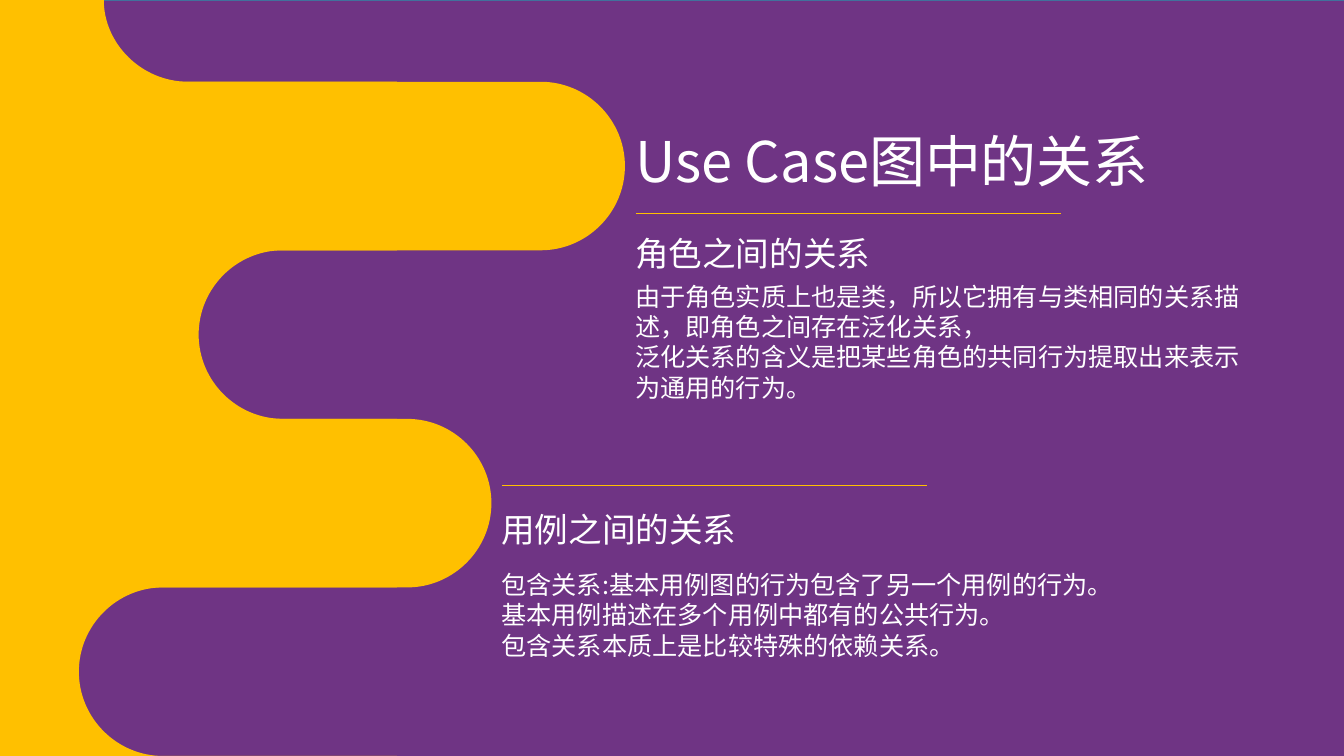
"""Build a slide on the relationships in use case diagrams."""
from dataclasses import dataclass

from lxml.etree import SubElement
from pptx import Presentation
from pptx.dml.color import RGBColor
from pptx.enum.shapes import MSO_CONNECTOR, MSO_SHAPE
from pptx.enum.text import MSO_AUTO_SIZE
from pptx.oxml.ns import qn
from pptx.shapes.shapetree import SlideShapes
from pptx.util import Pt

PURPLE = RGBColor(0x6F, 0x34, 0x84)
YELLOW = RGBColor(0xFF, 0xC0, 0x00)
BLUE = RGBColor(0x41, 0x71, 0x9C)
WHITE = RGBColor(0xFF, 0xFF, 0xFF)
FONT = "Noto Sans CJK SC"

SLIDE_WIDTH, SLIDE_HEIGHT = 960.5, 540
BAND = 120.4
RADIUS = BAND / 2
HANDLE = 0.55 * RADIUS
FIRST_EDGE = 58.4
TRUNK_RIGHT = 283.7

Point = tuple[float, float]
Segment = tuple[Point, ...]


@dataclass(frozen=True)
class Bend:
    """A round end: the band it lies in and the centre of its arc."""
    band: int
    center_x: float


@dataclass(frozen=True)
class Passage:
    """A block of text at one size."""
    left: float
    top: float
    width: float
    height: float
    size: float
    lines: tuple[str, ...]


@dataclass(frozen=True)
class Rule:
    """A thin horizontal line."""
    left: float
    top: float
    width: float = 304.2


BAYS = (Bend(-1, 134.4), Bend(1, 202.2), Bend(3, 116.6))
FINGERS = (Bend(0, 386.4), Bend(2, 291))
RULES = (Rule(454.4, 152.6), Rule(358.6, 346.4))
PASSAGES = (
    Passage(446.8, 87.1, 409, 55.7, 40, ("Use Case图中的关系",)),
    Passage(446.8, 162.7, 342, 36.3, 24, ("角色之间的关系",)),
    Passage(446.8, 197.3, 453.6, 93.5, 18, (
        "由于角色实质上也是类，所以它拥有与类相同的关系描述，即角色之间存在泛化关系，",
        "泛化关系的含义是把某些角色的共同行为提取出来表示为通用的行为。",
    )),
    Passage(351.2, 360, 342, 36.3, 24, ("用例之间的关系",)),
    Passage(351.2, 403.2, 453.6, 93.5, 18, (
        "包含关系:基本用例图的行为包含了另一个用例的行为。",
        "基本用例描述在多个用例中都有的公共行为。",
        "包含关系本质上是比较特殊的依赖关系。",
    )),
)


def band_top(band: int) -> float:
    """Return the upper edge of a band."""
    return FIRST_EDGE + band * BAND


def half_circle(bend: Bend, side: int) -> list[Segment]:
    """Return two curves from top to bottom, bulging left (-1) or right (1)."""
    x, top, bottom = bend.center_x, band_top(bend.band), band_top(bend.band + 1)
    middle, tip, handle = top + RADIUS, x + side * RADIUS, x + side * HANDLE
    return [
        ((handle, top), (tip, middle - HANDLE), (tip, middle)),
        ((tip, middle + HANDLE), (handle, bottom), (x, bottom)),
    ]


def trunk_outline() -> list[Segment]:
    """Return the outline of the left trunk with its three bays."""
    outline: list[Segment] = [((0, 0),)]
    for bay in BAYS:
        top, bottom = band_top(bay.band), band_top(bay.band + 1)
        upper, lower = half_circle(bay, -1)
        if top < 0:
            outline += [((bay.center_x - RADIUS, 0),), lower]
        else:
            outline += [((TRUNK_RIGHT, top),), ((bay.center_x, top),), upper, lower]
        outline.append(((TRUNK_RIGHT, bottom),))
    return [*outline, ((0, SLIDE_HEIGHT),)]


def finger_outline(finger: Bend) -> list[Segment]:
    """Return the outline of a band with a round right end."""
    top, bottom = band_top(finger.band), band_top(finger.band + 1)
    return [((0, top),), ((finger.center_x, top),),
            *half_circle(finger, 1), ((0, bottom),)]


def add_yellow_area(shapes: SlideShapes, outline: list[Segment]) -> None:
    """Draw a filled outline of lines and curves without a border."""
    corners = [(Pt(x), Pt(y)) for segment in outline for x, y in segment]
    builder = shapes.build_freeform(*corners[0])
    builder.add_line_segments(corners[1:], close=True)
    area = builder.convert_to_shape()
    steps = iter(list(area._element.iter(qn("a:lnTo"))))
    for segment in outline[1:]:
        first, *others = [next(steps) for _ in segment]
        if others:
            first.tag = qn("a:cubicBezTo")
        for step in others:
            first.append(step[0])
            step.getparent().remove(step)
    area.shadow.inherit = False
    area.fill.solid()
    area.fill.fore_color.rgb = YELLOW
    area.line.fill.background()


def add_backdrop(shapes: SlideShapes) -> None:
    """Cover the slide with an outlined purple rectangle."""
    backdrop = shapes.add_shape(MSO_SHAPE.RECTANGLE, 0, 0, Pt(962), Pt(541.4))
    backdrop.shadow.inherit = False
    backdrop.fill.solid()
    backdrop.fill.fore_color.rgb = PURPLE
    backdrop.line.color.rgb = BLUE
    backdrop.line.width = Pt(1)


def add_rule(shapes: SlideShapes, rule: Rule) -> None:
    """Draw a thin yellow line."""
    line = shapes.add_connector(
        MSO_CONNECTOR.STRAIGHT, Pt(rule.left), Pt(rule.top),
        Pt(rule.left + rule.width), Pt(rule.top))
    line.line.color.rgb = YELLOW
    line.line.width = Pt(0.5)
    SubElement(line._element.spPr, qn("a:effectLst"))


def add_passage(shapes: SlideShapes, passage: Passage) -> None:
    """Write a text block, one paragraph per line."""
    box = shapes.add_textbox(Pt(passage.left), Pt(passage.top),
                             Pt(passage.width), Pt(passage.height))
    frame = box.text_frame
    frame.word_wrap = True
    frame.auto_size = MSO_AUTO_SIZE.SHAPE_TO_FIT_TEXT
    frame.text = "\n".join(passage.lines)
    for paragraph in frame.paragraphs:
        font = paragraph.font
        font.size = Pt(passage.size)
        font.color.rgb = WHITE
        font.name = FONT
        properties = paragraph._p.pPr
        properties.set("hangingPunct", "0")
        SubElement(properties.find(qn("a:defRPr")), qn("a:ea"), typeface=FONT)


def main() -> None:
    """Assemble and save the slide."""
    presentation = Presentation()
    presentation.slide_width = Pt(SLIDE_WIDTH)
    presentation.slide_height = Pt(SLIDE_HEIGHT)
    slide = presentation.slides.add_slide(presentation.slide_layouts[6])
    slide.background.fill.solid()
    slide.background.fill.fore_color.rgb = PURPLE
    add_backdrop(slide.shapes)
    add_yellow_area(slide.shapes, trunk_outline())
    for finger in FINGERS:
        add_yellow_area(slide.shapes, finger_outline(finger))
    for passage in PASSAGES:
        add_passage(slide.shapes, passage)
    for rule in RULES:
        add_rule(slide.shapes, rule)
    presentation.save("out.pptx")


if __name__ == "__main__":
    main()
